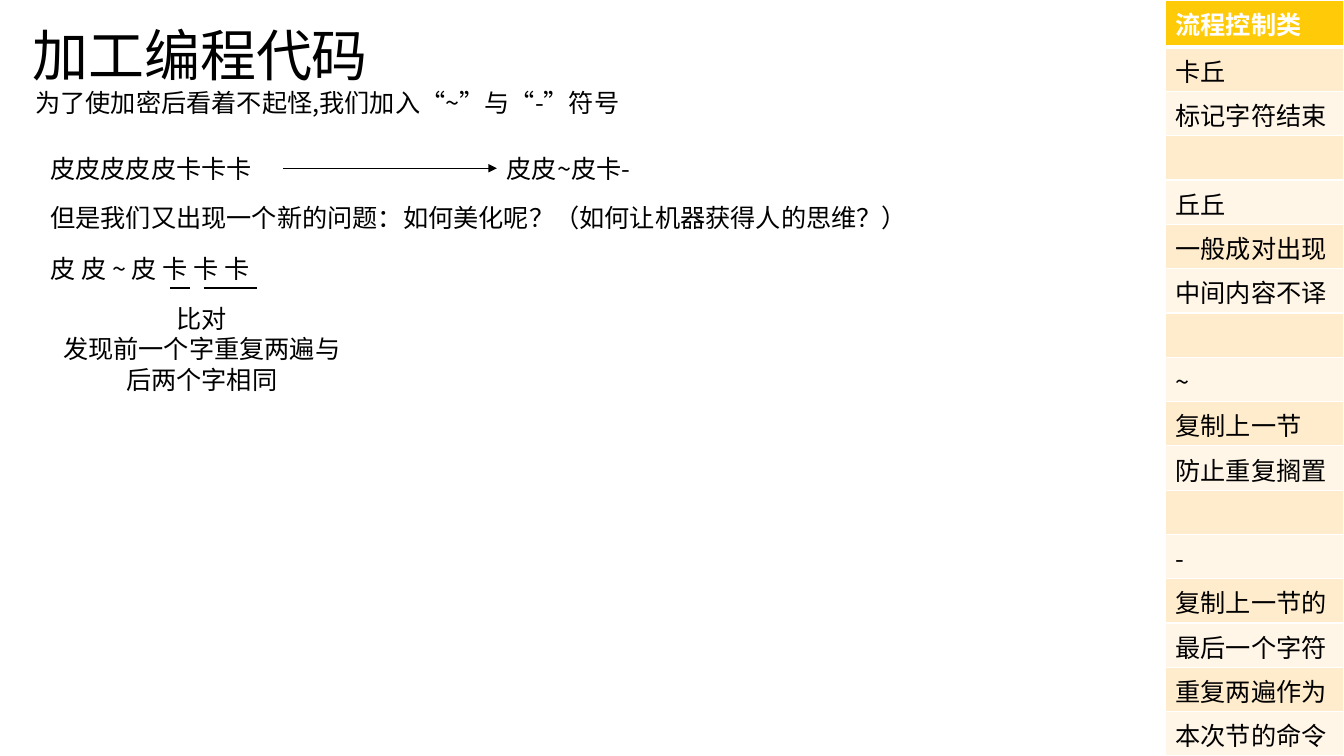
from lxml import etree
from pptx import Presentation
from pptx.dml.color import RGBColor
from pptx.enum import shapes, text
from pptx.oxml.ns import qn
from pptx.util import Cm, Pt

BLACK = RGBColor(0x00, 0x00, 0x00)
WHITE = RGBColor(0xFF, 0xFF, 0xFF)
GOLD = RGBColor(0xFF, 0xCA, 0x08)
BANDS = (RGBColor(0xFF, 0xEC, 0xCC), RGBColor(0xFF, 0xF6, 0xE7))
FONT = "Noto Sans CJK SC"
TILDE_FONT = "Noto Sans CJK JP"

PAGE_WIDTH, PAGE_HEIGHT = 33.87, 19.05
TITLE = ("加工编程代码", (0.56, 0.38, 9.07, 1.96))
LINE_HEIGHT = 1.02
NOTES = {
    "intro": (["为了使加密后看着不起怪,我们加入“~”与“-”符号"], (0.64, 2.08, 15.57, LINE_HEIGHT)),
    "plain": (["皮皮皮皮皮卡卡卡"], (1.02, 3.73, 6.12, LINE_HEIGHT)),
    "coded": (["皮皮~皮卡-"], (12.52, 3.73, 6.12, LINE_HEIGHT)),
    "problem": (["但是我们又出现一个新的问题：如何美化呢？（如何让机器获得人的思维？）"],
                (1.02, 4.98, 22.3, LINE_HEIGHT)),
    "sample": (["皮 皮 ~ 皮 卡 卡 卡"], (1.02, 6.25, 13.21, LINE_HEIGHT)),
    "finding": (["比对", "发现前一个字重复两遍与", "后两个字相同"], (1.3, 7.52, 7.57, 2.57)),
}
UNDERLINES = [(4.29, 4.8), (5.13, 6.48)]
UNDERLINE_TOP = 7.26
COMMANDS = [
    "流程控制类",
    "卡丘", "标记字符结束", "",
    "丘丘", "一般成对出现", "中间内容不译", "",
    "~", "复制上一节", "防止重复搁置", "",
    "-", "复制上一节的", "最后一个字符", "重复两遍作为", "本次节的命令",
]
TABLE_WIDTH, HEADER_HEIGHT = 4.5, 1.19


def style(para, size=18, color=BLACK, bold=False):
    font = para.font
    font.size = Pt(size)
    font.bold = bold
    font.color.rgb = color
    font.name = FONT
    latin = para._p.pPr.find(qn("a:defRPr")).find(qn("a:latin"))
    east_asian = etree.Element(qn("a:ea"), typeface=FONT)
    latin.addnext(east_asian)


def add_note(page, lines, place):
    box = page.shapes.add_textbox(*map(Cm, place))
    frame = box.text_frame
    frame.word_wrap = True
    frame.text = "\n".join(lines)
    for para in frame.paragraphs:
        style(para)
        if len(lines) > 1:
            para.alignment = text.PP_ALIGN.CENTER
    return box


def add_line(page, left, right, top, width):
    line = page.shapes.add_connector(
        shapes.MSO_CONNECTOR.STRAIGHT, Cm(left), Cm(top), Cm(right), Cm(top))
    line.line.color.rgb = BLACK
    line.line.width = Pt(width)
    etree.SubElement(line._element.spPr, qn("a:effectLst"))
    return line


def add_borders(cell, bottom):
    properties = cell._tc.get_or_add_tcPr()
    for index, side in enumerate(("lnL", "lnR", "lnT", "lnB")):
        width = Pt(bottom if side == "lnB" else 1)
        border = etree.Element(qn("a:" + side), w=str(width))
        fill = etree.SubElement(border, qn("a:solidFill"))
        etree.SubElement(fill, qn("a:srgbClr"), val=str(WHITE))
        properties.insert(index, border)


def add_commands(page):
    count = len(COMMANDS)
    table = page.shapes.add_table(
        count, 1, Cm(PAGE_WIDTH - TABLE_WIDTH), 0, Cm(TABLE_WIDTH), Cm(PAGE_HEIGHT)).table
    row_height = (PAGE_HEIGHT - HEADER_HEIGHT) / (count - 1)
    for index, command in enumerate(COMMANDS):
        header = index == 0
        table.rows[index].height = Cm(HEADER_HEIGHT if header else row_height)
        cell = table.cell(index, 0)
        cell.text = command
        cell.vertical_anchor = text.MSO_ANCHOR.MIDDLE
        cell.fill.solid()
        cell.fill.fore_color.rgb = GOLD if header else BANDS[(index - 1) % 2]
        style(cell.text_frame.paragraphs[0], color=WHITE if header else BLACK, bold=header)
        add_borders(cell, 3 if header else 1)


def main():
    deck = Presentation()
    deck.slide_width, deck.slide_height = Cm(PAGE_WIDTH), Cm(PAGE_HEIGHT)
    page = deck.slides.add_slide(deck.slide_layouts[5])

    words, place = TITLE
    title = page.shapes.title
    title.left, title.top, title.width, title.height = map(Cm, place)
    title.text = words
    title.text_frame.auto_size = text.MSO_AUTO_SIZE.NONE
    title.text_frame.word_wrap = False
    heading = title.text_frame.paragraphs[0]
    heading.alignment = text.PP_ALIGN.LEFT
    style(heading, 40)

    boxes = {name: add_note(page, *note) for name, note in NOTES.items()}
    coded = boxes["coded"].text_frame.paragraphs[0]
    before, tilde, after = coded.text.partition("~")
    coded.runs[0].text = before
    span = coded.add_run()
    span.text = tilde
    span.font.name = TILDE_FONT
    coded.add_run().text = after

    arrow = add_line(page, 7.14, 12.52, 4.24, 0.5)
    arrow.begin_connect(boxes["plain"], 3)
    arrow.end_connect(boxes["coded"], 1)
    etree.SubElement(arrow.line._get_or_add_ln(), qn("a:tailEnd"), type="triangle")

    for left, right in UNDERLINES:
        add_line(page, left, right, UNDERLINE_TOP, 1.5)
    add_commands(page)
    deck.save("out.pptx")


if __name__ == "__main__":
    main()
